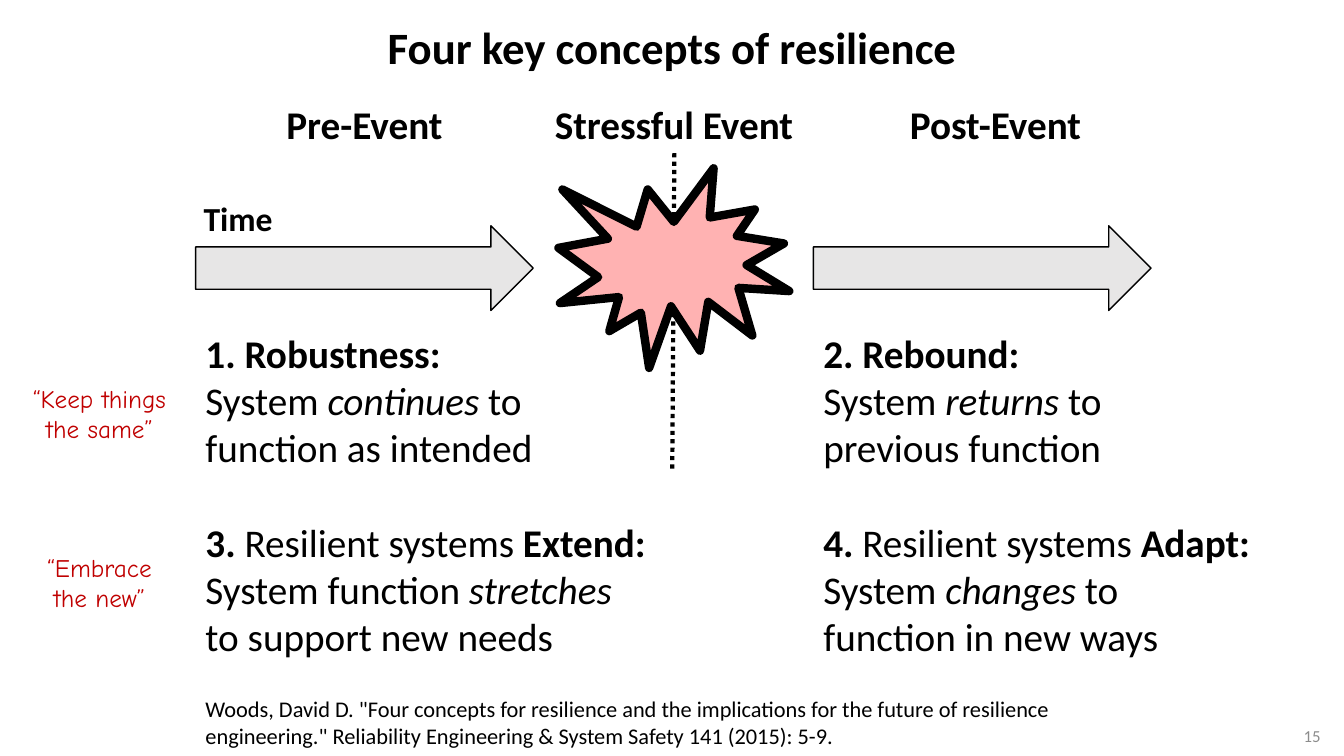
from lxml import etree
from pptx import Presentation
from pptx.dml.color import RGBColor
from pptx.enum.dml import MSO_LINE_DASH_STYLE as Dash
from pptx.enum.shapes import MSO_CONNECTOR as Connector, MSO_SHAPE as Shape
from pptx.enum.text import MSO_ANCHOR as Anchor, MSO_AUTO_SIZE as AutoSize, PP_ALIGN as Align
from pptx.oxml.ns import qn
from pptx.util import Pt

BLACK = RGBColor(0x00, 0x00, 0x00)
ARROW_GREY = RGBColor(0xE7, 0xE6, 0xE6)
BURST_PINK = RGBColor(0xFF, 0xB2, 0xB2)
QUOTE_RED = RGBColor(0xC0, 0x00, 0x00)
NUMBER_GREY = RGBColor(0x8C, 0x8C, 0x8C)

BODY_FONT = "Calibri"
QUOTE_FONT = "Comic Neue"
CONCEPT_GAP = 34.2  # one line of 28 pt text

LEFT_COLUMN, RIGHT_COLUMN = 139.7, 581

# Each concept is a list of lines; each line is a list of (text, style) runs
LEFT_CONCEPTS = [
    [[("1. Robustness:", "bold")],
     [("System ", ""), ("continues", "italic"), (" to function as intended", "")]],
    [[("3. ", "bold"), ("Resilient systems ", ""), ("Extend:", "bold")],
     [("System function ", ""), ("stretches", "italic"), (" to support new needs", "")]],
]
RIGHT_CONCEPTS = [
    [[("2. Rebound:", "bold")],
     [("System ", ""), ("returns", "italic"), (" to", "")],
     [("previous function", "")]],
    [[("4. ", "bold"), ("Resilient systems ", ""), ("Adapt:", "bold")],
     [("System ", ""), ("changes", "italic"), (" to", "")],
     [("function in new ways", "")]],
]


def style_font(font, size, color=BLACK, name=BODY_FONT, bold=False, italic=False):
    font.name = name
    font.size = Pt(size)
    font.color.rgb = color
    font.bold = bold
    font.italic = italic


def add_label(slide, box, text, size, align=Align.LEFT, wrap=True, anchor=Anchor.TOP, **style):
    frame = slide.shapes.add_textbox(*map(Pt, box)).text_frame
    frame.word_wrap = wrap
    frame.vertical_anchor = anchor
    frame.text = text
    line = frame.paragraphs[0]
    line.alignment = align
    style_font(line.runs[0].font, size, **style)


def add_outlined(slide, preset, box, fill, weight):
    outlined = slide.shapes.add_shape(preset, *map(Pt, box))
    outlined.shadow.inherit = False
    outlined.fill.solid()
    outlined.fill.fore_color.rgb = fill
    outlined.line.color.rgb = BLACK
    outlined.line.width = Pt(weight)


def add_title(slide, box):
    title = slide.shapes.title
    title.left, title.top, title.width, title.height = map(Pt, box)
    frame = title.text_frame
    frame.text = "Four key concepts of resilience"
    frame.auto_size = AutoSize.NONE
    frame.vertical_anchor = Anchor.TOP
    heading = frame.paragraphs[0]
    heading.alignment = Align.CENTER
    style_font(heading.runs[0].font, 32, bold=True)


def add_timeline(slide, left, top):
    # Phase headings
    for phase, offset, width in (("Pre-Event", 56.9, 127.4),
                                 ("Stressful Event", 248.4, 186.5),
                                 ("Post-Event", 501.8, 139)):
        add_label(slide, (left + offset, top, width, 41), phase, 28,
                  Align.CENTER, wrap=False, bold=True)

    # Time arrows before and after the event
    add_label(slide, (left - 1.4, top + 69.1, 64, 36), "Time", 24, wrap=False, bold=True)
    for arrow_left in (left, RIGHT_COLUMN):
        add_outlined(slide, Shape.RIGHT_ARROW, (arrow_left, top + 92.9, 241.2, 60.5),
                     ARROW_GREY, 1)

    # Dotted divider with the event burst over it
    divider = slide.shapes.add_connector(Connector.STRAIGHT, Pt(left + 342), Pt(top + 41),
                                         Pt(left + 340.5), Pt(top + 267.1))
    divider.line.color.rgb = BLACK
    divider.line.width = Pt(3)
    divider.line.dash_style = Dash.ROUND_DOT
    properties = divider.line._get_or_add_ln().getparent()
    etree.SubElement(properties, qn("a:effectLst"))
    add_outlined(slide, Shape.EXPLOSION1, (left + 259.2, top + 51.8, 164.9, 142.6),
                 BURST_PINK, 6)


def add_concepts(slide, box, concepts):
    frame = slide.shapes.add_textbox(*map(Pt, box)).text_frame
    frame.word_wrap = True
    paragraph = frame.paragraphs[0]
    for concept_index, lines in enumerate(concepts):
        for line_index, runs in enumerate(lines):
            if concept_index or line_index:
                paragraph = frame.add_paragraph()
            if concept_index and not line_index:
                paragraph.space_before = Pt(CONCEPT_GAP)
            for text, style in runs:
                run = paragraph.add_run()
                run.text = text
                style_font(run.font, 28, bold=style == "bold", italic=style == "italic")


def add_quotes(slide, center):
    for quote, top, width in (("“Keep things the same”", 270, 123),
                              ("“Embrace the new”", 391, 101.5)):
        add_label(slide, (center - width / 2, top, width, 51), quote, 18, Align.CENTER,
                  color=QUOTE_RED, name=QUOTE_FONT)


def add_footer(slide, top):
    add_label(slide, (LEFT_COLUMN, top, 661, 46),
              'Woods, David D. "Four concepts for resilience and the implications for the '
              'future of resilience engineering." Reliability Engineering & System Safety '
              '141 (2015): 5-9.', 16)
    add_label(slide, (782.6, top + 16.6, 167.8, 31.7), "15", 12, Align.RIGHT,
              anchor=Anchor.MIDDLE, color=NUMBER_GREY)


def main():
    deck = Presentation()
    deck.slide_width, deck.slide_height = Pt(960), Pt(540)
    slide = deck.slides.add_slide(deck.slide_layouts[5])
    add_title(slide, (120.2, 10.8, 720, 54))
    add_timeline(slide, LEFT_COLUMN, 68.4)
    for left, concepts in ((LEFT_COLUMN, LEFT_CONCEPTS), (RIGHT_COLUMN, RIGHT_CONCEPTS)):
        add_concepts(slide, (left, 231.8, 330.5, 244.8), concepts)
    add_quotes(slide, 71)
    add_footer(slide, 493.2)
    deck.save("out.pptx")


if __name__ == "__main__":
    main()
